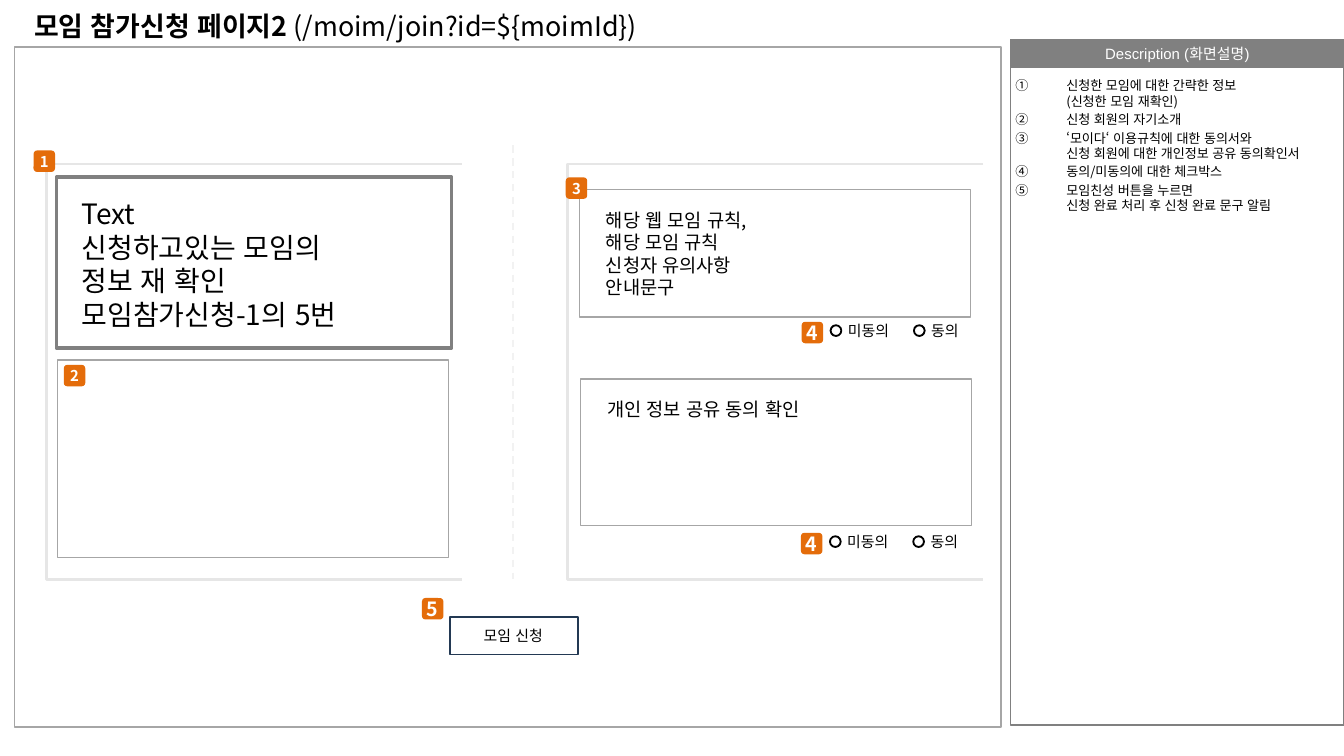
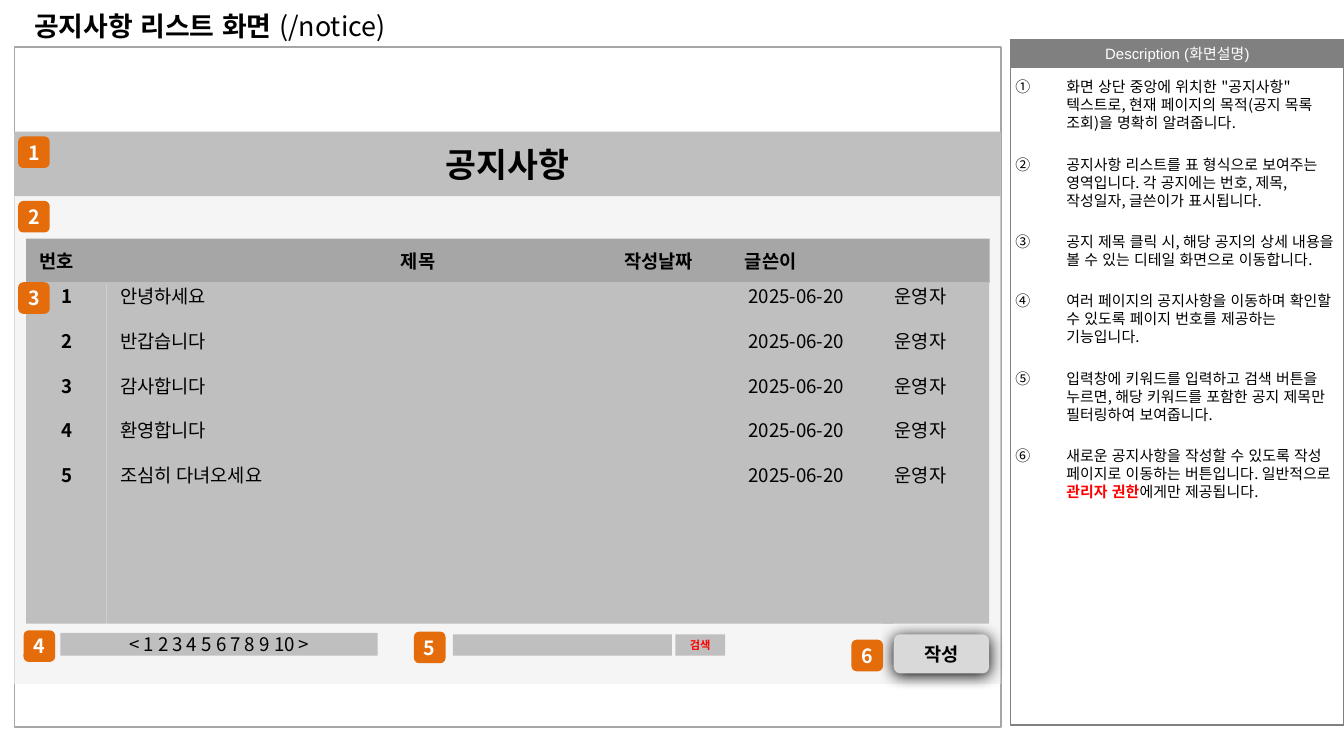
"""Build two wireframe slides of a meeting site: the join page and the notice list."""
from dataclasses import dataclass
from typing import NamedTuple, Optional, Union

import lxml.etree
import pptx
import pptx.dml.color
import pptx.enum.dml
import pptx.enum.lang
import pptx.enum.shapes
import pptx.enum.text
import pptx.oxml.ns
import pptx.slide
import pptx.util

COLORS = {
    "white": "FFFFFF", "black": "000000", "red": "FF0000", "badge": "E46C0A",
    "banner": "808080", "outline": "A6A6A6", "cell": "BFBFBF", "button": "D9D9D9",
    "panel": "F2F2F2", "bracket": "E6E6E6", "navy": "233953",
}
FONT = "Noto Sans CJK KR"
COLUMNS = 100
SLIDE_WIDTH = pptx.util.Inches(10)
SLIDE_HEIGHT = SLIDE_WIDTH * 9 // 16
LEADING = 1.2

RECT = pptx.enum.shapes.MSO_SHAPE.RECTANGLE
ROUNDED = pptx.enum.shapes.MSO_SHAPE.ROUNDED_RECTANGLE
OVAL = pptx.enum.shapes.MSO_SHAPE.OVAL
LEFT, CENTER = pptx.enum.text.PP_ALIGN.LEFT, pptx.enum.text.PP_ALIGN.CENTER
TOP, MIDDLE = pptx.enum.text.MSO_ANCHOR.TOP, pptx.enum.text.MSO_ANCHOR.MIDDLE


class Area(NamedTuple):
    """Place on the grid of square cells, 100 to the slide's width."""
    left: float
    top: float
    width: float
    height: float


class Span(NamedTuple):
    """Part of a paragraph with its own look."""
    text: str
    bold: bool = False
    color: str = "black"


Line = Union[str, tuple[Span, ...]]


@dataclass(frozen=True)
class Words:
    """Paragraphs that share one look."""
    lines: tuple[Line, ...]
    size: float = 8
    bold: bool = False
    color: str = "black"
    align: pptx.enum.text.PP_ALIGN = LEFT
    anchor: pptx.enum.text.MSO_ANCHOR = TOP
    inset: tuple[float, float, float, float] = (1, 0.5, 1, 0.5)
    gap: float = 0
    numbered: bool = False
    wrap: bool = True
    tabs: tuple[float, ...] = ()
    font: str = FONT


@dataclass(frozen=True)
class Box:
    """Preset shape, or a plain text box when it has no kind."""
    area: Area
    words: Optional[Words] = None
    kind: Optional[pptx.enum.shapes.MSO_SHAPE] = RECT
    fill: Optional[str] = None
    opacity: int = 100
    line: Optional[str] = None
    weight: float = 0.75
    glow: bool = False


@dataclass(frozen=True)
class Badge:
    """Numbered orange marker."""
    left: float
    top: float
    number: int
    side: float = 1.6
    size: float = 10.5


def grid(cells: float) -> int:
    """Turn grid cells into a length."""
    return round(SLIDE_WIDTH * cells / COLUMNS)


def rgb(name: str) -> pptx.dml.color.RGBColor:
    """Look up a colour."""
    return pptx.dml.color.RGBColor.from_string(COLORS[name])


def add_child(parent: lxml.etree._Element, tag: str, **attributes: object) -> lxml.etree._Element:
    """Append a DrawingML element."""
    values = {key: str(value) for key, value in attributes.items()}
    return lxml.etree.SubElement(parent, pptx.oxml.ns.qn(f"a:{tag}"), values)


def write_words(frame: pptx.text.text.TextFrame, words: Words) -> None:
    """Fill a text frame."""
    frame.word_wrap = words.wrap
    frame.vertical_anchor = words.anchor
    (frame.margin_left, frame.margin_top,
     frame.margin_right, frame.margin_bottom) = map(grid, words.inset)
    for index, line in enumerate(words.lines):
        paragraph = frame.add_paragraph() if index else frame.paragraphs[0]
        paragraph.alignment = words.align
        paragraph.line_spacing = pptx.util.Pt(round(words.size * LEADING, 1))
        if index and words.gap:
            paragraph.space_before = pptx.util.Pt(words.gap)
        properties = paragraph._p.get_or_add_pPr()
        if words.numbered:
            properties.set("marL", str(grid(3.8)))
            properties.set("indent", str(-grid(3.8)))
            add_child(properties, "buFont", typeface=FONT)
            add_child(properties, "buAutoNum", type="circleNumDbPlain")
        if words.tabs:
            stops = add_child(properties, "tabLst")
            for stop in words.tabs:
                add_child(stops, "tab", pos=grid(stop), algn="l")
        font = paragraph.font
        font.size, font.bold, font.name = pptx.util.Pt(words.size), words.bold, words.font
        font.language_id = pptx.enum.lang.MSO_LANGUAGE_ID.KOREAN
        font.color.rgb = rgb(words.color)
        add_child(properties.find(pptx.oxml.ns.qn("a:defRPr")), "ea", typeface=FONT)
        if isinstance(line, str):
            paragraph.text = line
            continue
        for span in line:
            run = paragraph.add_run()
            run.text, run.font.bold = span.text, span.bold
            run.font.color.rgb = rgb(span.color)


def draw_box(slide: pptx.slide.Slide, box: Box) -> None:
    """Draw a shape or a text box."""
    place = [grid(length) for length in box.area]
    if box.kind is None:
        shape = slide.shapes.add_textbox(*place)
    else:
        shape = slide.shapes.add_shape(box.kind, *place)
        shape.shadow.inherit = False
        if box.fill:
            shape.fill.solid()
            shape.fill.fore_color.rgb = rgb(box.fill)
        else:
            shape.fill.background()
        if box.line:
            shape.line.color.rgb = rgb(box.line)
            shape.line.width = pptx.util.Pt(box.weight)
        else:
            shape.line.fill.background()
    properties = shape._element.spPr
    if box.opacity < 100:
        tone = properties.find(pptx.oxml.ns.qn("a:solidFill"))[0]
        add_child(tone, "alpha", val=box.opacity * 1000)
    if box.glow:
        effects = properties.find(pptx.oxml.ns.qn("a:effectLst"))
        shade = add_child(effects, "outerShdw", blurRad=pptx.util.Pt(8.5), dist=pptx.util.Pt(1),
                          dir=90 * 60000, algn="t", rotWithShape=0)
        add_child(shade, "srgbClr", val=COLORS["black"])
    if box.words:
        write_words(shape.text_frame, box.words)


def draw_badge(slide: pptx.slide.Slide, badge: Badge) -> None:
    """Draw a numbered marker."""
    label = Words((str(badge.number),), badge.size, True, "white", CENTER, MIDDLE, (0, 0, 0, 0))
    draw_box(slide, Box(Area(badge.left, badge.top, badge.side, badge.side), label,
                        ROUNDED, "badge"))


def draw_bracket(slide: pptx.slide.Slide, left: float, top: float, side: float) -> None:
    """Draw a square outline that is open on the right."""
    right, bottom = left + side, top + side
    builder = slide.shapes.build_freeform(grid(right), grid(top))
    builder.add_line_segments([(grid(left), grid(top)), (grid(left), grid(bottom)),
                               (grid(right), grid(bottom))], close=False)
    bracket = builder.convert_to_shape()
    bracket.shadow.inherit = False
    bracket.fill.background()
    bracket.line.color.rgb = rgb("bracket")
    bracket.line.width = pptx.util.Pt(1.5)


def draw_divider(slide: pptx.slide.Slide, column: float, top: float, bottom: float) -> None:
    """Draw the dashed line between the two halves of the form."""
    divider = slide.shapes.add_connector(pptx.enum.shapes.MSO_CONNECTOR.STRAIGHT, grid(column),
                                         grid(top), grid(column), grid(bottom))
    divider.line.color.rgb = rgb("panel")
    divider.line.width = pptx.util.Pt(1)
    divider.line.dash_style = pptx.enum.dml.MSO_LINE.DASH
    add_child(divider._element.spPr, "effectLst")


def draw_consent(slide: pptx.slide.Slide, left: float, top: float) -> None:
    """Draw the pair of consent options and their marker."""
    for index, choice in enumerate(("미동의", "동의")):
        column = left + index * 6.2
        draw_box(slide, Box(Area(column, top, 0.8, 0.8), kind=OVAL, line="black", weight=1))
        draw_box(slide, Box(Area(column + 0.3, top - 0.75, 5.5, 2.4), Words((choice,)), None))
    draw_badge(slide, Badge(left - 2.15, top - 0.25, 4))


def start_slide(deck: pptx.presentation.Presentation, title: str, route: str,
                notes: Words) -> pptx.slide.Slide:
    """Add a slide with its title, frame and description column."""
    slide = deck.slides.add_slide(deck.slide_layouts[6])
    heading = Words(((Span(title, True), Span(route)),), 14.4, anchor=MIDDLE)
    banner = Words(("Description (화면설명)",), 8, color="white", align=CENTER, anchor=MIDDLE,
                   wrap=False, font="Arial")
    for box in (
        Box(Area(75.2, 2.95, 24.8, 2.1), banner, fill="banner"),
        Box(Area(75.2, 2.95, 24.8, 51), line="banner"),
        Box(Area(1.1, 3.5, 73.4, 50.6), fill="white", opacity=70, line="outline"),
        Box(Area(1.55, 0.3, 72.4, 3.2), heading, None),
        Box(Area(75.15, 5.3, 24.85, 48.8), notes, None),
    ):
        draw_box(slide, box)
    return slide


def describe(size: float, gap: float, *lines: Line) -> Words:
    """Make the numbered notes of the description column."""
    return Words(lines, size, gap=gap, numbered=True, inset=(0.4, 0.5, 0, 0.5))


def build_join(deck: pptx.presentation.Presentation) -> None:
    """Build the join page."""
    slide = start_slide(deck, "모임 참가신청 페이지2 ", "(/moim/join?id=${moimId})", describe(
        7, 1.4,
        "신청한 모임에 대한 간략한 정보\n(신청한 모임 재확인)",
        "신청 회원의 자기소개",
        "‘모이다‘ 이용규칙에 대한 동의서와\n신청 회원에 대한 개인정보 공유 동의확인서",
        "동의/미동의에 대한 체크박스",
        "모임친성 버튼을 누르면\n신청 완료 처리 후 신청 완료 문구 알림"))
    for left in (3.45, 42.25):
        draw_bracket(slide, left, 12.2, 30.9)
    draw_divider(slide, 38.2, 10.8, 43.1)
    meeting = Words(("Text\n신청하고있는 모임의", "정보 재 확인", "모임참가신청-1의 5번"), 15)
    rules = Words(("해당 웹 모임 규칙,", "해당 모임 규칙", "신청자 유의사항", "안내문구"), 10)
    for box in (
        Box(Area(4.2, 13.2, 29.4, 12.7), line="banner", weight=2),
        Box(Area(5.1, 14.15, 27.6, 13.6), meeting, None),
        Box(Area(4.3, 26.8, 29.1, 14.7), line="outline"),
        Box(Area(43.1, 14.1, 29.1, 9.5), line="outline"),
        Box(Area(44.1, 15.05, 27.8, 7.7), rules, None),
        Box(Area(43.2, 28.2, 29.1, 10.9), line="outline"),
        Box(Area(44.2, 29.1, 27.8, 2.7), Words(("개인 정보 공유 동의 확인",), 10), None),
        Box(Area(33.5, 45.9, 9.5, 2.8), line="navy", weight=1),
        Box(Area(35, 46.15, 7.5, 2.4), Words(("모임 신청",)), None),
    ):
        draw_box(slide, box)
    draw_consent(slide, 61.8, 24.2)
    draw_consent(slide, 61.75, 39.9)
    for badge in (Badge(2.5, 11.2, 1, size=8), Badge(4.75, 27.15, 2, size=8),
                  Badge(42.1, 13.2, 3, size=8), Badge(31.4, 44.5, 5)):
        draw_badge(slide, badge)


def build_notices(deck: pptx.presentation.Presentation) -> None:
    """Build the notice list."""
    slide = start_slide(deck, "공지사항 리스트 화면 ", "(/notice)", describe(
        8, 12.6,
        "화면 상단 중앙에 위치한 \"공지사항\" 텍스트로, 현재 페이지의 목적(공지 목록 조회)을 명확히 알려줍니다.",
        "공지사항 리스트를 표 형식으로 보여주는 영역입니다. 각 공지에는 번호, 제목, 작성일자, 글쓴이가 표시됩니다.",
        "공지 제목 클릭 시, 해당 공지의 상세 내용을 볼 수 있는 디테일 화면으로 이동합니다.",
        "여러 페이지의 공지사항을 이동하며 확인할 수 있도록 페이지 번호를 제공하는 기능입니다.",
        "입력창에 키워드를 입력하고 검색 버튼을 누르면, 해당 키워드를 포함한 공지 제목만 필터링하여 보여줍니다.",
        (Span("새로운 공지사항을 작성할 수 있도록 작성 페이지로 이동하는 버튼입니다. 일반적으로 "),
         Span("관리자 권한", True, "red"), Span("에게만 제공됩니다."))))
    header = Words(("번호\t제목\t작성날짜\t글쓴이",), 10, True, anchor=MIDDLE,
                   tabs=(26.9, 43.5, 52.5))
    heading = Words(("공지사항",), 18, True, align=CENTER, anchor=MIDDLE)
    pages = Words(("< 1 2 3 4 5 6 7 8 9 10 >",), 10, align=CENTER, anchor=MIDDLE)
    search = Words(("검색",), 6, True, "red", CENTER, MIDDLE, (0, 0, 0, 0))
    write = Words(("작성",), 10, True, align=CENTER, anchor=MIDDLE)
    for box in (
        Box(Area(1.05, 9.9, 73.4, 41), fill="panel", opacity=70),
        Box(Area(1.05, 9.8, 73.4, 4.8), heading, fill="cell"),
        Box(Area(1.95, 17.75, 71.7, 3.3), header, fill="outline"),
        Box(Area(4.5, 47.1, 23.6, 1.7), pages, fill="cell"),
        Box(Area(33.7, 47.2, 16.3, 1.6), fill="cell"),
        Box(Area(50.25, 47.2, 3.7, 1.6), search, fill="cell"),
        Box(Area(66.5, 47.2, 7.1, 2.9), write, ROUNDED, "button", glow=True),
    ):
        draw_box(slide, box)
    titles = ("안녕하세요", "반갑습니다", "감사합니다", "환영합니다", "조심히 다녀오세요")
    count = len(titles)
    numbers = tuple(str(number) for number in range(1, count + 1))
    for left, width, entries, bold, align in (
        (1.95, 6, numbers, True, CENTER),
        (7.95, 46.75, titles, False, LEFT),
        (54.7, 11.8, ("2025-06-20",) * count, False, LEFT),
        (65.6, 8, ("운영자",) * count, False, LEFT),
    ):
        column = Words(entries, 10, bold, align=align, inset=(1, 0.2, 1, 0), gap=12)
        draw_box(slide, Box(Area(left, 21, width, 25.4), column, fill="cell"))
    spots = ((1.35, 10.15), (1.35, 14.95), (1.35, 21), (1.75, 46.9), (30.8, 47), (63.35, 47.6))
    for number, (left, top) in enumerate(spots, 1):
        draw_badge(slide, Badge(left, top, number, 2.35))


def main() -> None:
    """Build and save the deck."""
    deck = pptx.Presentation()
    deck.slide_width, deck.slide_height = SLIDE_WIDTH, SLIDE_HEIGHT
    build_join(deck)
    build_notices(deck)
    deck.save("out.pptx")


if __name__ == "__main__":
    main()
